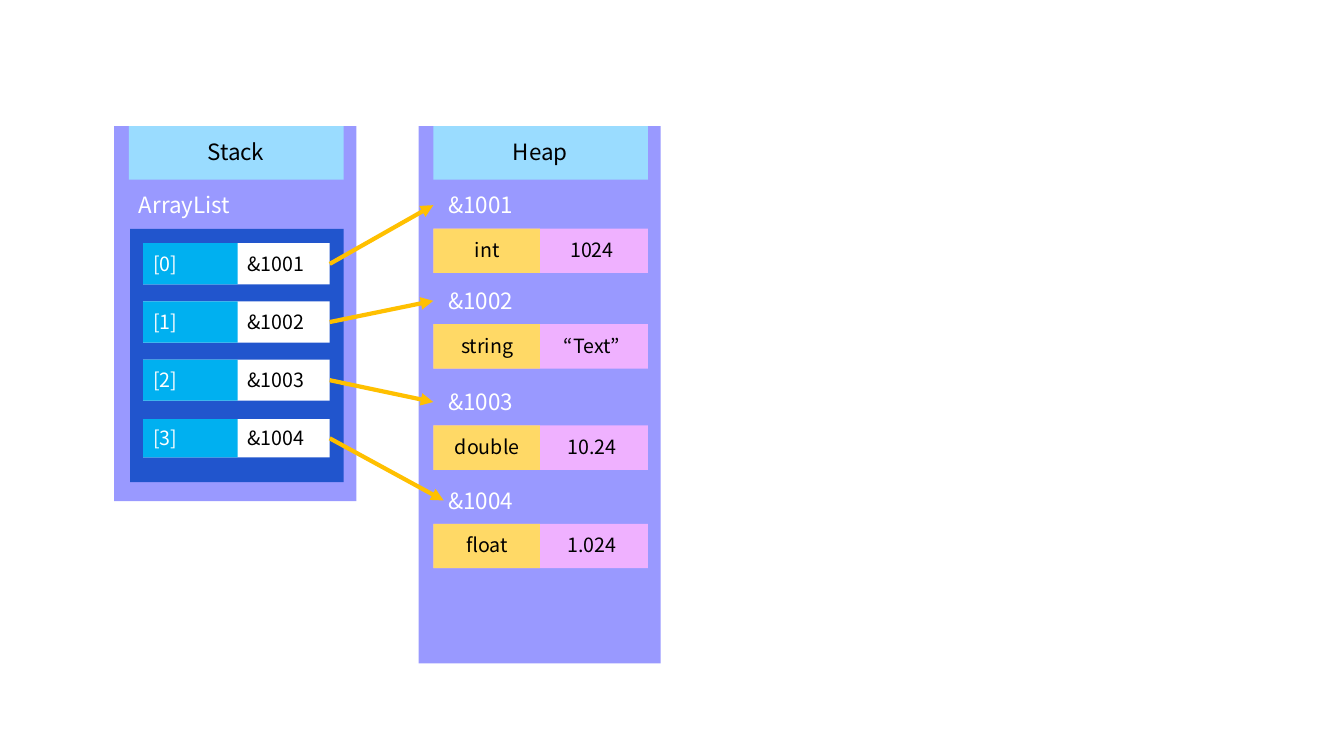
from lxml import etree
from pptx import Presentation
from pptx.dml.color import RGBColor
from pptx.enum.shapes import MSO_CONNECTOR, MSO_SHAPE
from pptx.enum.text import MSO_AUTO_SIZE, PP_ALIGN
from pptx.oxml.ns import qn
from pptx.util import Cm, Pt

RECTANGLE = MSO_SHAPE.RECTANGLE
STRAIGHT = MSO_CONNECTOR.STRAIGHT
FIT_TEXT = MSO_AUTO_SIZE.SHAPE_TO_FIT_TEXT
LEFT, CENTER = PP_ALIGN.LEFT, PP_ALIGN.CENTER

FONT = "Noto Sans CJK KR"
BLACK = RGBColor(0x00, 0x00, 0x00)
WHITE = RGBColor(0xFF, 0xFF, 0xFF)
LAVENDER = RGBColor(0x99, 0x99, 0xFF)
SKY = RGBColor(0x9A, 0xDC, 0xFF)
NAVY = RGBColor(0x21, 0x55, 0xCD)
CYAN = RGBColor(0x00, 0xB0, 0xF0)
YELLOW = RGBColor(0xFF, 0xD9, 0x66)
PINK = RGBColor(0xEF, 0xB1, 0xFF)
AMBER = RGBColor(0xFF, 0xC0, 0x00)

# All lengths are centimetres.
PANEL_TOP, PANEL_WIDTH = 3.18, 6.1
COLUMN_WIDTH = 5.41
STACK_LEFT, HEAP_LEFT = 3.25, 10.92
SLOT_LEFT, SLOT_WIDTH, INDEX_WIDTH = 3.61, 4.7, 2.38
FIRST_SLOT_MIDDLE, SLOT_PITCH = 6.65, 1.465
TYPE_WIDTH = 2.69

# Address, type, value, top of the heap label, slot height, arrow end.
ENTRIES = [
    ("&1001", "int", "1024", 4.7, 1.04, 10.92),
    ("&1002", "string", "“Text”", 7.11, 1.04, 10.92),
    ("&1003", "double", "10.24", 9.66, 1.04, 10.92),
    ("&1004", "float", "1.024", 12.14, 0.97, 11.18),
]


def add_block(page, left, top, width, height, color):
    """Add a plain filled rectangle."""
    block = page.shapes.add_shape(RECTANGLE, Cm(left), Cm(top), Cm(width), Cm(height))
    block.shadow.inherit = False
    block.fill.solid()
    block.fill.fore_color.rgb = color
    block.line.fill.background()


def add_label(page, text, left, top, width, size=14, color=BLACK, align=LEFT, inset=0.25):
    """Add a one-line text box whose height follows its font size."""
    height = 0.94 if size == 16 else 0.86
    box = page.shapes.add_textbox(Cm(left), Cm(top), Cm(width), Cm(height))
    frame = box.text_frame
    frame.word_wrap = True
    frame.auto_size = FIT_TEXT
    frame.margin_left = Cm(inset)
    para = frame.paragraphs[0]
    para.alignment = align
    span = para.add_run()
    span.text = text
    span.font.name = FONT
    span.font.size = Pt(size)
    span.font.color.rgb = color


def add_arrow(page, start_x, start_y, end_x, end_y):
    """Add a straight reference arrow with a triangular head."""
    arrow = page.shapes.add_connector(
        STRAIGHT, Cm(start_x), Cm(start_y), Cm(end_x), Cm(end_y))
    arrow.line.color.rgb = AMBER
    arrow.line.width = Pt(3)
    etree.SubElement(arrow.line._get_or_add_ln(), qn("a:tailEnd"), type="triangle")
    etree.SubElement(arrow._element.spPr, qn("a:effectLst"))


def add_panel(page, title, left, height):
    """Add a memory panel with its header; left is that of the header."""
    add_block(page, left - 0.37, PANEL_TOP, PANEL_WIDTH, height, LAVENDER)
    add_block(page, left, PANEL_TOP, COLUMN_WIDTH, 1.35, SKY)
    add_label(page, title, left + 0.36, 3.35, 4.67, size=16, align=CENTER)


def add_heap_entry(page, address, kind, value, top):
    """Add an address with its type and value cells below."""
    add_label(page, address, HEAP_LEFT, top, 4.5, size=16, color=WHITE, inset=0.38)
    add_block(page, HEAP_LEFT, top + 1.06, COLUMN_WIDTH, 1.12, PINK)
    add_block(page, HEAP_LEFT, top + 1.06, TYPE_WIDTH, 1.12, YELLOW)
    add_label(page, kind, HEAP_LEFT, top + 1.17, 2.72, align=CENTER)
    add_label(page, value, HEAP_LEFT + 2.64, top + 1.17, 2.72, align=CENTER)


def add_slot(page, index, address, middle, height):
    """Add one array slot: its index and the address it holds."""
    top = middle - height / 2
    add_block(page, SLOT_LEFT, top, SLOT_WIDTH, height, WHITE)
    add_block(page, SLOT_LEFT, top, INDEX_WIDTH, height, CYAN)
    add_label(page, f"[{index}]", SLOT_LEFT, middle - 0.43, 1.75, color=WHITE)
    add_label(page, address, SLOT_LEFT + INDEX_WIDTH, middle - 0.43, 2.2)


def main():
    """Build the stack and heap diagram."""
    deck = Presentation()
    deck.slide_width, deck.slide_height = Cm(33.87), Cm(19.05)
    page = deck.slides.add_slide(deck.slide_layouts[6])

    add_panel(page, "Stack", STACK_LEFT, 9.45)
    add_panel(page, "Heap", HEAP_LEFT, 13.54)
    add_label(page, "ArrayList", STACK_LEFT, 4.7, 4.24, size=16, color=WHITE)
    add_block(page, 3.28, 5.77, 5.38, 6.38, NAVY)

    for index, (address, kind, value, top, height, arrow_end) in enumerate(ENTRIES):
        middle = FIRST_SLOT_MIDDLE + index * SLOT_PITCH
        add_heap_entry(page, address, kind, value, top)
        add_slot(page, index, address, middle, height)
        add_arrow(page, SLOT_LEFT + SLOT_WIDTH, middle, arrow_end, top + 0.47)

    deck.save("out.pptx")


main()
